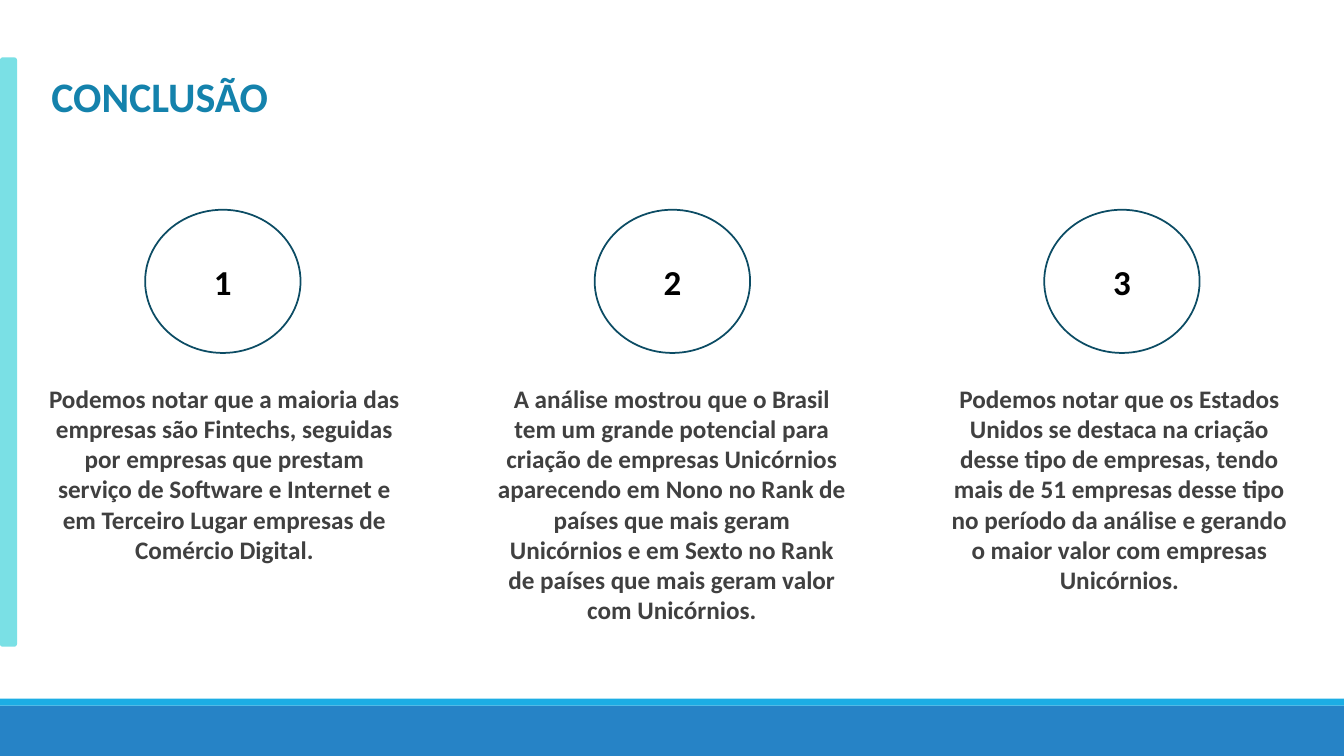
from pptx import Presentation
from pptx.dml.color import RGBColor
from pptx.enum.shapes import MSO_SHAPE
from pptx.enum.text import MSO_ANCHOR, MSO_AUTO_SIZE, PP_ALIGN
from pptx.util import Pt

COLORS = {
    "footer": "2683C6",
    "stripe": "1CADE4",
    "title": "1482AC",
    "side_bar": "7AE0E5",
    "circle": "FFFFFF",
    "circle_line": "0C4C64",
    "number": "000000",
    "body": "404040",
}
FONT = "Calibri"
CONCLUSIONS = [
    "Podemos notar que a maioria das empresas são Fintechs, seguidas por empresas "
    "que prestam serviço de Software e Internet e em Terceiro Lugar empresas de "
    "Comércio Digital.",
    "A análise mostrou que o Brasil tem um grande potencial para criação de empresas "
    "Unicórnios aparecendo em Nono no Rank de países que mais geram Unicórnios e em "
    "Sexto no Rank de países que mais geram valor com Unicórnios.",
    "Podemos notar que os Estados Unidos se destaca na criação desse tipo de empresas, "
    "tendo mais de 51 empresas desse tipo no período da análise e gerando o maior valor "
    "com empresas Unicórnios.",
]


def color(name):
    return RGBColor.from_string(COLORS[name])


def points(box):
    return [Pt(length) for length in box]


def add_filled(slide, preset, box, fill, line=None):
    shape = slide.shapes.add_shape(preset, *points(box))
    shape.shadow.inherit = False
    shape.fill.solid()
    shape.fill.fore_color.rgb = color(fill)
    if line:
        shape.line.color.rgb = color(line)
        shape.line.width = Pt(1.25)
    else:
        shape.line.fill.background()
    return shape


def write(shape, text, size, ink, anchor=MSO_ANCHOR.TOP):
    frame = shape.text_frame
    frame.word_wrap = True
    frame.auto_size = MSO_AUTO_SIZE.NONE
    frame.vertical_anchor = anchor
    paragraph = frame.paragraphs[0]
    paragraph.alignment = PP_ALIGN.CENTER
    run = paragraph.add_run()
    run.text = text
    run.font.name = FONT
    run.font.size = Pt(size)
    run.font.bold = True
    run.font.color.rgb = color(ink)


def add_footer(slide, box):
    left, top, width, height = box
    stripe = 5
    add_filled(slide, MSO_SHAPE.RECTANGLE, (left, top + stripe, width, height - stripe), "footer")
    add_filled(slide, MSO_SHAPE.RECTANGLE, (left, top, width, stripe), "stripe")


def add_title(slide, box):
    title = slide.shapes.title
    title.left, title.top, title.width, title.height = points(box)
    write(title, "CONCLUSÃO", 30, "title")


def add_conclusions(slide, box):
    left, top, width, height = box
    text_width, circle_width, circle_height = 265.7, 111, 102.3
    text_pitch = (width - text_width) / (len(CONCLUSIONS) - 1)
    circle_left, circle_pitch, text_drop = 76.3, 321.1, 120.2
    for index, text in enumerate(CONCLUSIONS):
        circle_box = (left + circle_left + index * circle_pitch, top, circle_width, circle_height)
        circle = add_filled(slide, MSO_SHAPE.OVAL, circle_box, "circle", "circle_line")
        write(circle, str(index + 1), 25, "number", MSO_ANCHOR.MIDDLE)
        text_box = (left + index * text_pitch, top + text_drop, text_width, height - text_drop)
        write(slide.shapes.add_textbox(*points(text_box)), text, 18, "body")


def build_conclusion_slide(presentation):
    slide = presentation.slides.add_slide(presentation.slide_layouts[5])
    add_footer(slide, (0, 499, 960, 41))
    add_title(slide, (27.4, 46.8, 173.5, 43.9))
    add_filled(slide, MSO_SHAPE.ROUNDED_RECTANGLE, (0, 41, 12.2, 421), "side_bar")
    add_conclusions(slide, (27.4, 149.8, 905, 301.7))


presentation = Presentation()
presentation.slide_width, presentation.slide_height = Pt(960), Pt(540)
build_conclusion_slide(presentation)
presentation.save("out.pptx")
